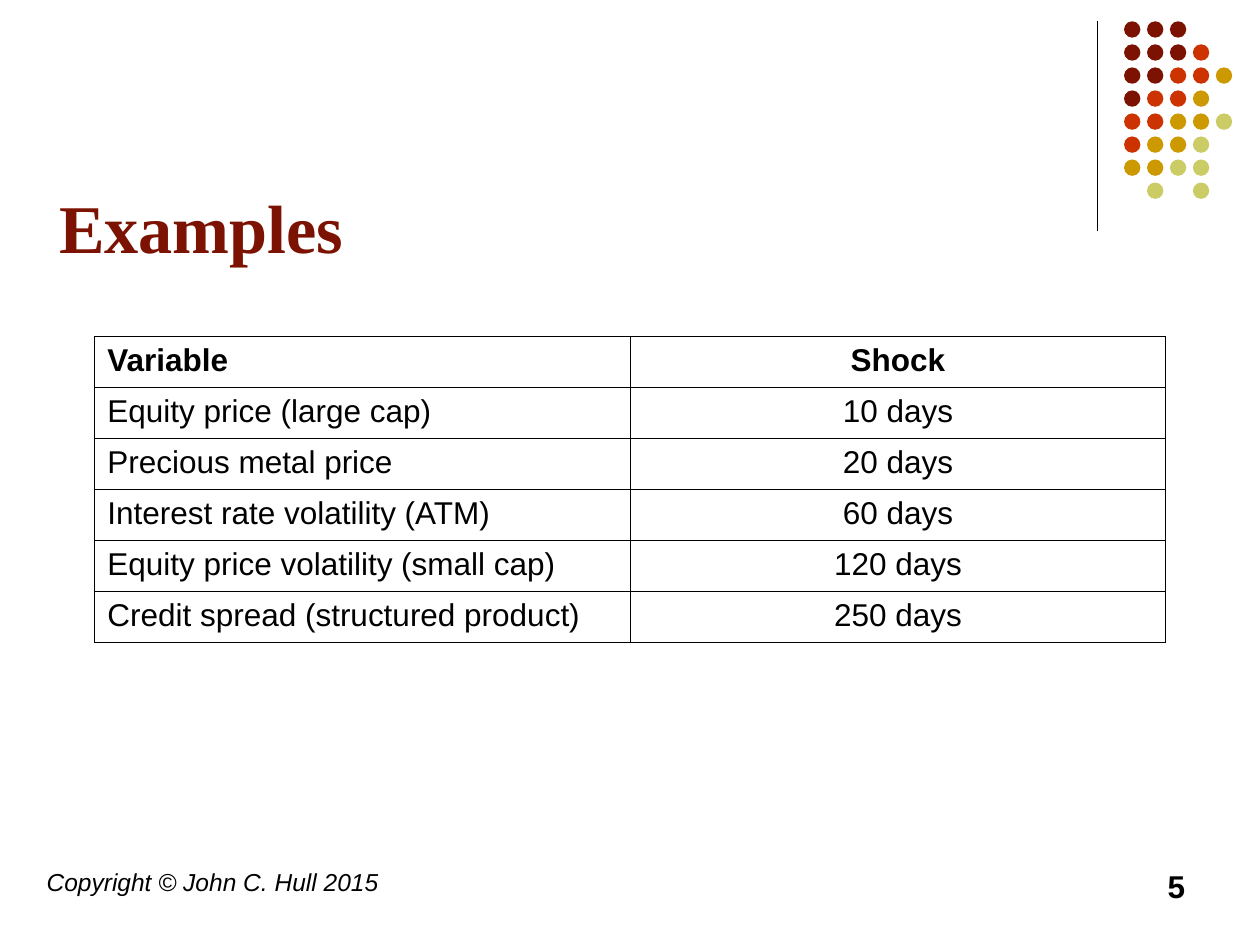
from dataclasses import dataclass
from typing import NamedTuple

from lxml.etree import SubElement
from pptx import Presentation
from pptx.dml.color import RGBColor
from pptx.enum.shapes import MSO_CONNECTOR as Connector, MSO_SHAPE as Shape
from pptx.enum.text import MSO_ANCHOR as Anchor, PP_ALIGN as Align
from pptx.oxml.ns import qn
from pptx.util import Cm, Pt


@dataclass(frozen=True)
class Theme:
    ink: str = "000000"
    paper: str = "FFFFFF"
    maroon: str = "7C1302"
    red: str = "CC3300"
    gold: str = "CC9900"
    olive: str = "CCCC66"
    heading_font: str = "Times New Roman"
    body_font: str = "Arial"
    title_size: float = 39
    body_size: float = 18
    footer_size: float = 14
    rule_width: float = 0.75
    border_width: float = 0.45


class Box(NamedTuple):
    left: float
    top: float
    width: float
    height: float

    def lengths(self):
        return [Cm(value) for value in self]


THEME = Theme()
DOT_COLORS = {"M": THEME.maroon, "R": THEME.red, "G": THEME.gold, "O": THEME.olive}
DOT_ROWS = ["MMM", "MMMR", "MMRRG", "MRRG", "RRGGO", "RGGO", "GGOO", " O O"]
SHOCKS = [
    ("Variable", "Shock"),
    ("Equity price (large cap)", "10 days"),
    ("Precious metal price", "20 days"),
    ("Interest rate volatility (ATM)", "60 days"),
    ("Equity price volatility (small cap)", "120 days"),
    ("Credit spread (structured product)", "250 days"),
]


def write_text(text_frame, text, size, bold=False, italic=False, align=Align.LEFT,
               font_name=THEME.body_font, color=THEME.ink):
    text_frame.text = text
    text_frame.word_wrap = True
    paragraph = text_frame.paragraphs[0]
    paragraph.alignment = align
    for run in paragraph.runs:
        font = run.font
        font.name, font.size = font_name, Pt(size)
        font.bold, font.italic = bold, italic
        font.color.rgb = RGBColor.from_string(color)


def add_rule(slide, box):
    left, top, width, height = box.lengths()
    rule = slide.shapes.add_connector(
        Connector.STRAIGHT, left, top, left + width, top + height)
    rule.line.color.rgb = RGBColor.from_string(THEME.ink)
    rule.line.width = Pt(THEME.rule_width)
    SubElement(rule._element.spPr, qn("a:effectLst"))


def add_dots(slide, box, diameter=0.33):
    column_pitch = (box.width - diameter) / (max(map(len, DOT_ROWS)) - 1)
    row_pitch = (box.height - diameter) / (len(DOT_ROWS) - 1)
    group = slide.shapes.add_group_shape()
    for row, codes in enumerate(DOT_ROWS):
        for column, code in enumerate(codes):
            if code == " ":
                continue
            dot_box = Box(box.left + column * column_pitch,
                          box.top + row * row_pitch, diameter, diameter)
            dot = group.shapes.add_shape(Shape.OVAL, *dot_box.lengths())
            dot.shadow.inherit = False
            dot.fill.solid()
            dot.fill.fore_color.rgb = RGBColor.from_string(DOT_COLORS[code])
            dot.line.fill.background()


def place_title(slide, box, text):
    title = slide.shapes.title
    title.left, title.top, title.width, title.height = box.lengths()
    write_text(title.text_frame, text, THEME.title_size, bold=True,
               font_name=THEME.heading_font, color=THEME.maroon)
    title.text_frame.vertical_anchor = Anchor.BOTTOM


def set_borders(cell):
    properties = cell._tc.get_or_add_tcPr()
    for side in ("lnL", "lnR", "lnT", "lnB"):
        border = SubElement(properties, qn(f"a:{side}"), w=str(Pt(THEME.border_width)))
        fill = SubElement(border, qn("a:solidFill"))
        SubElement(fill, qn("a:srgbClr"), val=THEME.ink)


def add_shock_table(slide, box):
    frame = slide.shapes.add_table(len(SHOCKS), len(SHOCKS[0]), *box.lengths())
    table = frame.table
    table.first_row = table.horz_banding = False
    for row, values in enumerate(SHOCKS):
        for column, value in enumerate(values):
            cell = table.cell(row, column)
            write_text(cell.text_frame, value, THEME.body_size, bold=row == 0,
                       align=Align.CENTER if column else Align.LEFT)
            set_borders(cell)
            cell.fill.background()


def add_footer(slide, box, copyright_line, number):
    number_width = 5.93
    number_box = Box(box.left + box.width - number_width, box.top,
                     number_width, box.height)
    copyright_box = box._replace(width=21)
    notice = slide.shapes.add_textbox(*copyright_box.lengths())
    write_text(notice.text_frame, copyright_line, THEME.footer_size, italic=True)
    page = slide.shapes.add_textbox(*number_box.lengths())
    write_text(page.text_frame, number, THEME.body_size, bold=True, align=Align.RIGHT)


def main():
    presentation = Presentation()
    presentation.slide_width, presentation.slide_height = Cm(25.4), Cm(19.05)
    slide = presentation.slides.add_slide(presentation.slide_layouts[5])
    slide.background.fill.solid()
    slide.background.fill.fore_color.rgb = RGBColor.from_string(THEME.paper)
    add_rule(slide, Box(22.12, 0.43, 0, 4.22))
    add_dots(slide, Box(22.66, 0.43, 2.18, 3.58))
    place_title(slide, Box(0.94, 1.9, 20.96, 3.61), "Examples")
    add_shock_table(slide, Box(1.91, 6.78, 21.59, 6.17))
    add_footer(slide, Box(0.69, 17.35, 23.45, 1.27), "Copyright © John C. Hull 2015", "5")
    presentation.save("out.pptx")


if __name__ == "__main__":
    main()
